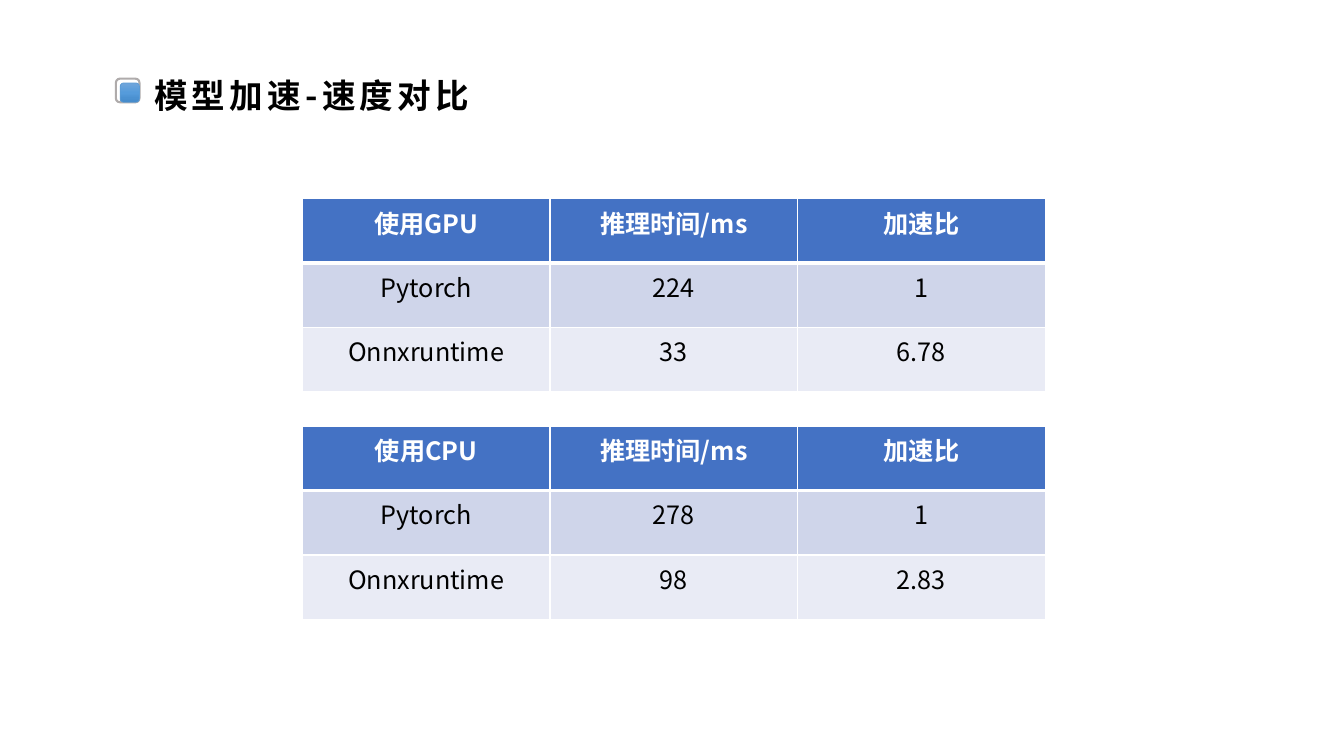
import copy

import lxml.etree
import pptx
import pptx.dml.color
import pptx.enum.shapes
import pptx.enum.text
import pptx.oxml.ns
import pptx.util

Pt = pptx.util.Pt
SHAPE = pptx.enum.shapes.MSO_SHAPE

# Content
TITLE = "模型加速-速度对比"
TABLES = [
    [("使用GPU", "推理时间/ms", "加速比"),
     ("Pytorch", "224", "1"),
     ("Onnxruntime", "33", "6.78")],
    [("使用CPU", "推理时间/ms", "加速比"),
     ("Pytorch", "278", "1"),
     ("Onnxruntime", "98", "2.83")],
]

# Style and layout, lengths in points
FONT = "Noto Sans CJK SC"
ROW_FILLS = ["4472C4", "CFD5EA", "E9EBF5"]
ICON_GRADIENT = [(0, "71A6DB"), (0.5, "559BDB"), (1, "448ACA")]
TABLE_LEFT, TABLE_TOP, TABLE_STEP = 216, 142, 162.4
COLUMN_WIDTH, ROW_HEIGHT = 176.9, 46


def color(hex_code):
    return pptx.dml.color.RGBColor.from_string(hex_code)


def add_element(parent, tag, **attributes):
    return lxml.etree.SubElement(parent, pptx.oxml.ns.qn(tag), attributes)


def style_paragraph(para, size, hex_code, bold):
    font = para.font
    font.size, font.bold, font.name = Pt(size), bold, FONT
    font.color.rgb = color(hex_code)
    properties = para._p.pPr.find(pptx.oxml.ns.qn("a:defRPr"))
    add_element(properties, "a:ea", typeface=FONT)
    return properties


def set_borders(cell, widths):
    properties = cell._tc.get_or_add_tcPr()
    for side, width in zip("LRTB", widths):
        line = add_element(properties, f"a:ln{side}", w=str(Pt(width)))
        fill = add_element(line, "a:solidFill")
        add_element(fill, "a:srgbClr", val="FFFFFF")


def add_speed_table(page, rows, top):
    columns = len(rows[0])
    table = page.shapes.add_table(
        len(rows), columns, Pt(TABLE_LEFT), Pt(top),
        Pt(COLUMN_WIDTH * columns), Pt(ROW_HEIGHT * len(rows))).table
    for column in table.columns:
        column.width = Pt(COLUMN_WIDTH)
    for r, values in enumerate(rows):
        table.rows[r].height = Pt(ROW_HEIGHT)
        header = r == 0
        for c, value in enumerate(values):
            cell = table.cell(r, c)
            cell.text = value
            para = cell.text_frame.paragraphs[0]
            para.alignment = pptx.enum.text.PP_ALIGN.CENTER
            style_paragraph(para, 18, "FFFFFF" if header else "000000", header)
            # The rule under the header is thicker
            set_borders(cell, (1, 1, 3 if r == 1 else 1, 3 if header else 1))
            cell.fill.solid()
            cell.fill.fore_color.rgb = color(ROW_FILLS[r])


def add_icon_square(page, left, top, size, line_color, line_width):
    square = page.shapes.add_shape(
        SHAPE.ROUNDED_RECTANGLE, Pt(left), Pt(top), Pt(size), Pt(size))
    square.shadow.inherit = False
    square.line.color.rgb = color(line_color)
    square.line.width = Pt(line_width)
    return square


deck = pptx.Presentation()
deck.slide_width, deck.slide_height = Pt(960), Pt(540)
page = deck.slides.add_slide(deck.slide_layouts[6])

# Tables
for index, rows in enumerate(TABLES):
    add_speed_table(page, rows, TABLE_TOP + index * TABLE_STEP)

# Title icon: an outline with a gradient square on it
outline = add_icon_square(page, 82.8, 56.2, 16.8, "AFABAB", 1.5)
outline.fill.background()
square = add_icon_square(page, 85.9, 59.3, 13.7, "5B9BD5", 0.5)
square.fill.gradient()
square.fill.gradient_angle = 270
stop_list = square._element.spPr.find(".//" + pptx.oxml.ns.qn("a:gsLst"))
stop_list.insert(1, copy.deepcopy(stop_list[0]))
for stop, (position, hex_code) in zip(square.fill.gradient_stops, ICON_GRADIENT):
    stop.position = position
    stop.color.rgb = color(hex_code)

# Title
box = page.shapes.add_textbox(Pt(103), Pt(49.7), Pt(270), Pt(36))
box.text_frame.word_wrap = True
box.text_frame.text = TITLE
title_properties = style_paragraph(
    box.text_frame.paragraphs[0], 24, "000000", True)
title_properties.set("spc", "300")

deck.save("out.pptx")
